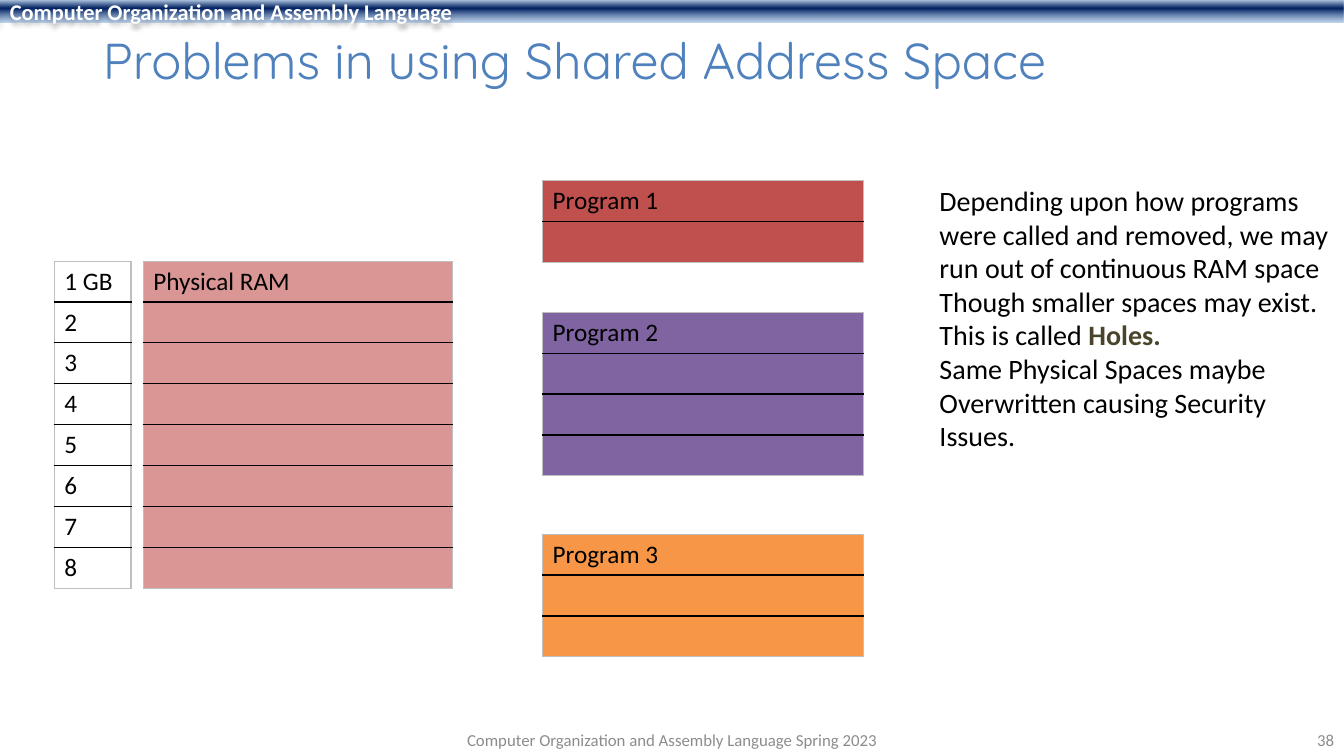
from dataclasses import dataclass

from pptx import Presentation
from pptx.dml.color import RGBColor
from pptx.enum.shapes import MSO_SHAPE
from pptx.enum.text import MSO_ANCHOR, PP_ALIGN
from pptx.oxml import parse_xml
from pptx.oxml.ns import nsdecls
from pptx.util import Cm, Pt


@dataclass(frozen=True)
class Theme:
    font: str = "Calibri"
    title_font: str = "Quicksand"
    title: str = "4F81BD"
    text: str = "000000"
    emphasis: str = "4A452A"
    muted: str = "8C8C8C"
    white: str = "FFFFFF"
    inner_border: str = "000000"
    outer_border: str = "BFBFBF"
    title_size: int = 36
    body_size: int = 20
    table_size: int = 18
    header_size: int = 16
    footer_size: int = 12


THEME = Theme()
SLIDE_WIDTH, SLIDE_HEIGHT = 33.86, 19.05
ROW_HEIGHT = 1.03
RAM_TOP, PROGRAM_LEFT, PROGRAM_WIDTH = 6.58, 13.67, 8.08

HEADER = "Computer Organization and Assembly Language"
TITLE = "Problems in using Shared Address Space"
FOOTER = "Computer Organization and Assembly Language Spring 2023"
SLIDE_NUMBER = "38"

# position (%), colour, opacity (%)
HEADER_STOPS = [(2, "B0C6E1", 100), (38, "002060", 100), (93, "86A8D1", 64)]

# left, top, width, fill, rows
MEMORY_TABLES = [
    (3.61, RAM_TOP, 7.8, "D99694", ["Physical RAM"] + [""] * 7),
    (PROGRAM_LEFT, 4.55, PROGRAM_WIDTH, "C0504D", ["Program 1", ""]),
    (PROGRAM_LEFT, 7.87, PROGRAM_WIDTH, "8064A2", ["Program 2"] + [""] * 3),
    (PROGRAM_LEFT, 13.46, PROGRAM_WIDTH, "F79646", ["Program 3"] + [""] * 2),
    (1.37, RAM_TOP, 1.93, None, ["1 GB"] + [str(number) for number in range(2, 9)]),
]

# each line is a list of (text, emphasised)
EXPLANATION = [
    [("Depending upon how programs", False)],
    [("were called and removed, we may", False)],
    [("run out of continuous RAM space", False)],
    [("Though smaller spaces may exist.", False)],
    [("This is called ", False), ("Holes.", True)],
    [("Same Physical Spaces maybe", False)],
    [("Overwritten causing Security", False)],
    [("Issues.", False)],
]


def add_run(paragraph, text, size, color, bold=False, font=THEME.font):
    run = paragraph.add_run()
    run.text = text
    run.font.name = font
    run.font.size = Pt(size)
    run.font.bold = bold
    run.font.color.rgb = RGBColor.from_string(color)


def add_header(slide):
    bar = slide.shapes.add_shape(MSO_SHAPE.RECTANGLE, 0, 0, Cm(SLIDE_WIDTH), Cm(0.58))
    bar.line.fill.background()
    bar.fill.background()
    stops = "".join(
        f'<a:gs pos="{position * 1000}"><a:srgbClr val="{color}">'
        f'<a:alpha val="{opacity * 1000}"/></a:srgbClr></a:gs>'
        for position, color, opacity in HEADER_STOPS
    )
    properties = bar._element.spPr
    no_fill = properties.find("{*}noFill")
    properties.replace(no_fill, parse_xml(
        f'<a:gradFill {nsdecls("a")} rotWithShape="1"><a:gsLst>{stops}</a:gsLst>'
        '<a:lin ang="5400000" scaled="0"/></a:gradFill>'
    ))
    properties.append(parse_xml(
        f'<a:effectLst {nsdecls("a")}><a:outerShdw blurRad="{Pt(3.5)}" dist="{Pt(2.2)}" '
        'dir="5400000" rotWithShape="0"><a:srgbClr val="000000"><a:alpha val="32000"/>'
        '</a:srgbClr></a:outerShdw></a:effectLst>'
    ))
    frame = bar.text_frame
    frame.vertical_anchor = MSO_ANCHOR.MIDDLE
    frame.margin_top = frame.margin_bottom = 0
    paragraph = frame.paragraphs[0]
    paragraph.alignment = PP_ALIGN.LEFT
    add_run(paragraph, HEADER, THEME.header_size, THEME.white, bold=True)


def add_title(slide):
    title = slide.shapes.title
    title.left, title.top, title.width, title.height = Cm(2.34), Cm(0.64), Cm(29.21), Cm(1.9)
    frame = title.text_frame
    frame.vertical_anchor = MSO_ANCHOR.MIDDLE
    paragraph = frame.paragraphs[0]
    paragraph.alignment = PP_ALIGN.LEFT
    paragraph.line_spacing = 0.9
    add_run(paragraph, TITLE, THEME.title_size, THEME.title, font=THEME.title_font)


def add_footer(slide, text, left, width, alignment):
    box = slide.shapes.add_textbox(Cm(left), Cm(18.26), Cm(width), Cm(0.79))
    frame = box.text_frame
    frame.word_wrap = True
    frame.vertical_anchor = MSO_ANCHOR.MIDDLE
    paragraph = frame.paragraphs[0]
    paragraph.alignment = alignment
    add_run(paragraph, text, THEME.footer_size, THEME.muted)


def set_borders(cell, is_first, is_last):
    """Draw grey lines around the table and black lines between its rows."""
    top = THEME.outer_border if is_first else THEME.inner_border
    bottom = THEME.outer_border if is_last else THEME.inner_border
    sides = {"L": THEME.outer_border, "R": THEME.outer_border, "T": top, "B": bottom}
    properties = cell._tc.get_or_add_tcPr()
    for side, color in sides.items():
        properties.append(parse_xml(
            f'<a:ln{side} {nsdecls("a")} w="{Pt(1)}"><a:solidFill>'
            f'<a:srgbClr val="{color}"/></a:solidFill></a:ln{side}>'
        ))


def add_memory_table(slide, left, top, width, fill, rows):
    table = slide.shapes.add_table(
        len(rows), 1, Cm(left), Cm(top), Cm(width), Cm(ROW_HEIGHT * len(rows))
    ).table
    table.first_row = table.horz_banding = False
    for index, text in enumerate(rows):
        table.rows[index].height = Cm(ROW_HEIGHT)
        cell = table.cell(index, 0)
        set_borders(cell, index == 0, index == len(rows) - 1)
        if fill:
            cell.fill.solid()
            cell.fill.fore_color.rgb = RGBColor.from_string(fill)
        else:
            cell.fill.background()
        if text:
            add_run(cell.text_frame.paragraphs[0], text, THEME.table_size, THEME.text)


def add_explanation(slide):
    box = slide.shapes.add_textbox(Cm(23.42), Cm(4.5), Cm(10.39), Cm(7.09))
    frame = box.text_frame
    frame.word_wrap = False
    for index, line in enumerate(EXPLANATION):
        paragraph = frame.add_paragraph() if index else frame.paragraphs[0]
        for text, emphasised in line:
            color = THEME.emphasis if emphasised else THEME.text
            add_run(paragraph, text, THEME.body_size, color, bold=emphasised)


def main():
    presentation = Presentation()
    presentation.slide_width, presentation.slide_height = Cm(SLIDE_WIDTH), Cm(SLIDE_HEIGHT)
    slide = presentation.slides.add_slide(presentation.slide_layouts[5])
    add_header(slide)
    add_title(slide)
    add_footer(slide, FOOTER, 11.22, 11.43, PP_ALIGN.CENTER)
    add_footer(slide, SLIDE_NUMBER, 26.24, 7.62, PP_ALIGN.RIGHT)
    for memory_table in MEMORY_TABLES:
        add_memory_table(slide, *memory_table)
    add_explanation(slide)
    presentation.save("out.pptx")


if __name__ == "__main__":
    main()
